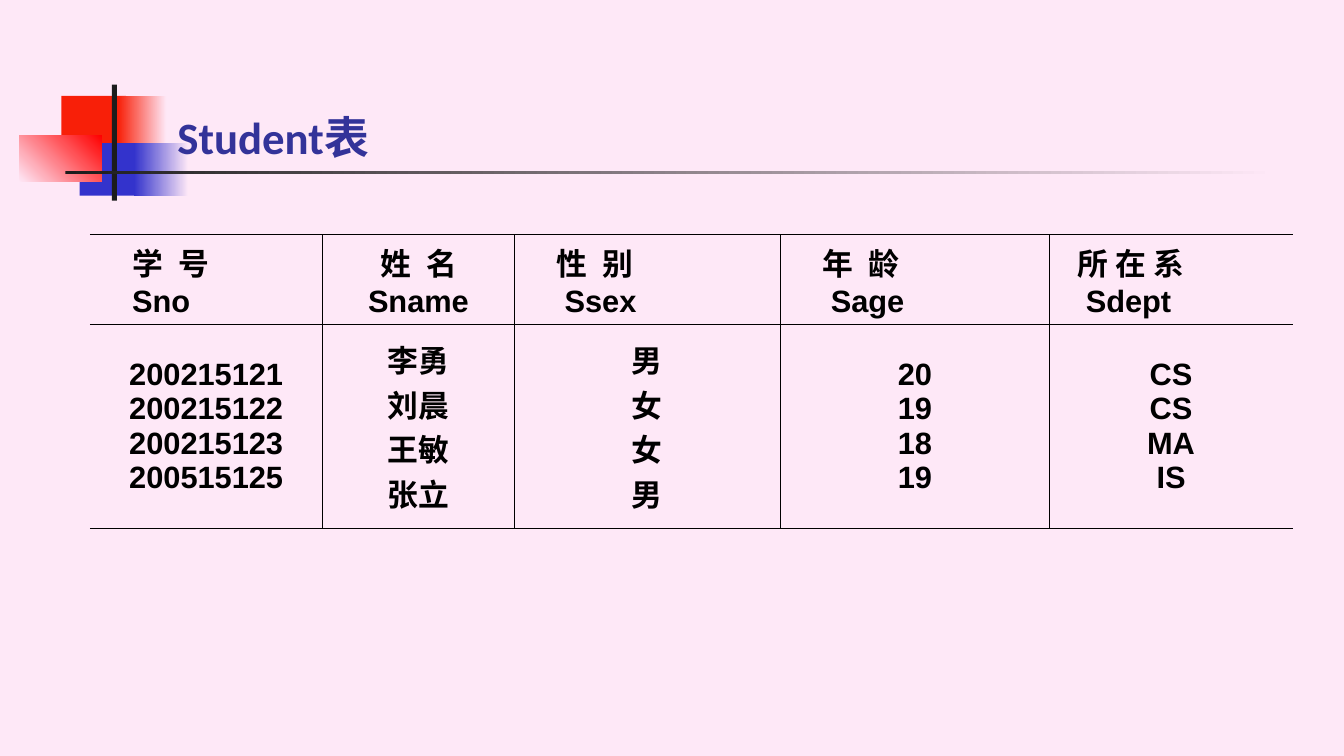
import pptx
import pptx.dml.color
import pptx.enum.shapes
import pptx.enum.text
import pptx.util
from pptx.oxml import parse_xml
from pptx.oxml.ns import nsdecls

RGBColor = pptx.dml.color.RGBColor
PINK = RGBColor(0xFE, 0xE8, 0xF7)
SCARLET = RGBColor(0xF8, 0x1F, 0x08)
RED = RGBColor(0xFF, 0x00, 0x00)
BLUE = RGBColor(0x33, 0x33, 0xCC)
CHARCOAL = RGBColor(0x1C, 0x1C, 0x1C)
NAVY = RGBColor(0x33, 0x33, 0x99)
BLACK = RGBColor(0x00, 0x00, 0x00)

SLIDE_WIDTH = pptx.util.Inches(13.33)
SLIDE_HEIGHT = pptx.util.Inches(7.5)
COLUMN = SLIDE_WIDTH / 1333
ROW = SLIDE_HEIGHT / 750

EMBLEM_BOX = (19, 84, 1246, 115)
TITLE_BOX = (166, 105, 1078, 62)
TABLE_BOX = (89, 233, 1193, 291)

EMBLEM_PARTS = [
    (42, 11, 64, 52, [SCARLET], 0),
    (98, 11, 48, 52, [SCARLET, PINK], 0),
    (60, 58, 62, 52, [BLUE], 0),
    (114, 58, 54, 52, [BLUE, PINK], 0),
    (0, 50, 82, 46, [PINK, RED], 45),
    (92, 0, 5, 115, [CHARCOAL], 0),
    (46, 86, 1200, 3, [CHARCOAL, PINK], 0),
]

COLUMN_SHARES = [231, 190, 264, 267, 241]
ROW_SHARES = [89, 202]
HEADINGS = [
    (["学 号", "Sno"], [29, 29]),
    (["姓 名", "Sname"], None),
    (["性 别", "Ssex"], [29, 37]),
    (["年 龄", "Sage"], [29, 37]),
    (["所 在 系", "Sdept"], [15, 23]),
]
STUDENTS = [
    ("200215121", "李勇", "男", "20", "CS"),
    ("200215122", "刘晨", "女", "19", "CS"),
    ("200215123", "王敏", "女", "18", "MA"),
    ("200515125", "张立", "男", "19", "IS"),
]


def place(box):
    left, top, width, height = box
    return [round(left * COLUMN), round(top * ROW),
            round(width * COLUMN), round(height * ROW)]


def add_span(para, text, font_name, size, colour):
    span = para.add_run()
    span.text = text
    span.font.name = font_name
    span.font.size = pptx.util.Pt(size)
    span.font.bold = True
    span.font.color.rgb = colour
    return span


def add_emblem(page, box):
    for left, top, width, height, colours, angle in EMBLEM_PARTS:
        shape = page.shapes.add_shape(
            pptx.enum.shapes.MSO_SHAPE.RECTANGLE,
            *place((box[0] + left, box[1] + top, width, height)))
        shape.shadow.inherit = False
        shape.line.fill.background()
        if len(colours) == 1:
            shape.fill.solid()
            shape.fill.fore_color.rgb = colours[0]
            continue
        shape.fill.gradient()
        shape.fill.gradient_angle = angle
        for stop, colour in zip(shape.fill.gradient_stops, colours):
            stop.color.rgb = colour


def add_title(page, box):
    title = page.shapes.title
    title.left, title.top, title.width, title.height = place(box)
    title.element.getparent().append(title.element)
    frame = title.text_frame
    frame.auto_size = pptx.enum.text.MSO_AUTO_SIZE.NONE
    frame.vertical_anchor = pptx.enum.text.MSO_ANCHOR.BOTTOM
    para = frame.paragraphs[0]
    para.alignment = pptx.enum.text.PP_ALIGN.LEFT
    add_span(para, "Student表", "Calibri", 32, NAVY)


def set_borders(cell, first, last):
    properties = cell._tc.get_or_add_tcPr()
    visible = {"lnL": not first, "lnR": not last, "lnT": True, "lnB": True}
    for position, (side, shown) in enumerate(visible.items()):
        paint = (f'<a:solidFill><a:srgbClr val="{BLACK}"/></a:solidFill>'
                 if shown else "<a:noFill/>")
        properties.insert(position, parse_xml(
            f'<a:{side} {nsdecls("a")} w="12700">{paint}</a:{side}>'))


def fill_cell(cell, lines, indents=None, tracking=None):
    cell.fill.background()
    cell.vertical_anchor = pptx.enum.text.MSO_ANCHOR.MIDDLE
    cell.margin_left = cell.margin_right = round(13 * COLUMN)
    cell.margin_top = cell.margin_bottom = round(5 * ROW)
    for index, line in enumerate(lines):
        frame = cell.text_frame
        para = frame.paragraphs[0] if index == 0 else frame.add_paragraph()
        if indents:
            para.alignment = pptx.enum.text.PP_ALIGN.LEFT
            para._p.get_or_add_pPr().set("indent", str(round(indents[index] * COLUMN)))
        else:
            para.alignment = pptx.enum.text.PP_ALIGN.CENTER
        span = add_span(para, line, "Arial", 22, BLACK)
        if tracking and index == 0:
            span.font._element.set("spc", str(tracking))


def add_student_table(page, box):
    table = page.shapes.add_table(
        len(ROW_SHARES), len(COLUMN_SHARES), *place(box)).table
    table.first_row = False
    table.horz_banding = False
    for column, share in zip(table.columns, COLUMN_SHARES):
        column.width = round(box[2] * COLUMN * share / sum(COLUMN_SHARES))
    for row, share in zip(table.rows, ROW_SHARES):
        row.height = round(box[3] * ROW * share / sum(ROW_SHARES))
    last = len(HEADINGS) - 1
    for index, ((heading, indents), values) in enumerate(
            zip(HEADINGS, zip(*STUDENTS))):
        tracking = 300 if index < last else None
        fill_cell(table.cell(0, index), heading, indents, tracking)
        fill_cell(table.cell(1, index), values)
        for row in range(len(ROW_SHARES)):
            set_borders(table.cell(row, index), index == 0, index == last)


def main():
    deck = pptx.Presentation()
    deck.slide_width = SLIDE_WIDTH
    deck.slide_height = SLIDE_HEIGHT
    page = deck.slides.add_slide(deck.slide_layouts[5])
    page.background.fill.solid()
    page.background.fill.fore_color.rgb = PINK
    add_emblem(page, EMBLEM_BOX)
    add_title(page, TITLE_BOX)
    add_student_table(page, TABLE_BOX)
    deck.save("out.pptx")


if __name__ == "__main__":
    main()
